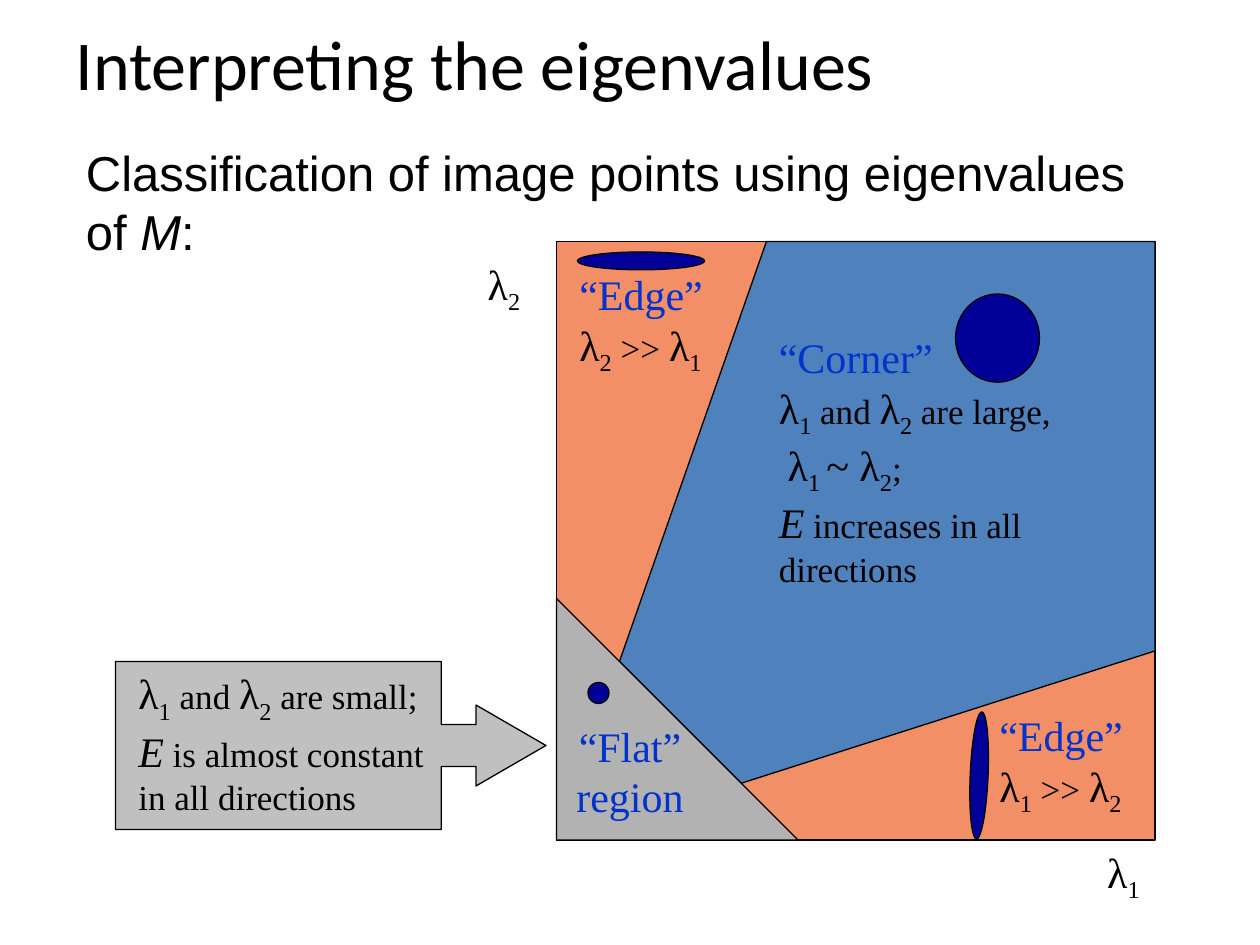
from dataclasses import dataclass
from typing import NamedTuple

import lxml.etree
import pptx
import pptx.dml.color
import pptx.enum.shapes
import pptx.enum.text
import pptx.util

COLS, ROWS = 120, 90
SERIF = "Times New Roman"
BLACK, BLUE, NAVY, ORANGE = "000000", "0033CC", "000099", "F38F67"
SHAPE = pptx.enum.shapes.MSO_SHAPE
ALIGN = pptx.enum.text.PP_ALIGN


class Box(NamedTuple):
    col: float
    row: float
    cols: float
    rows: float


class Run(NamedTuple):
    text: str
    size: int = 20
    color: str = BLACK
    italic: bool = False
    sub: bool = False
    font: str = SERIF


@dataclass
class Label:
    box: Box
    runs: list[Run]
    align: ALIGN = ALIGN.LEFT


@dataclass
class Region:
    kind: SHAPE
    box: Box
    fill: str
    rotation: float = 0
    adjustments: tuple[float, ...] = ()


prs = pptx.Presentation()
prs.slide_width, prs.slide_height = pptx.util.Inches(10), pptx.util.Inches(7.5)


def x(col: float) -> int:
    return round(prs.slide_width * col / COLS)


def y(row: float) -> int:
    return round(prs.slide_height * row / ROWS)


def place(box: Box) -> tuple[int, int, int, int]:
    return x(box.col), y(box.row), x(box.cols), y(box.rows)


def rgb(color: str) -> pptx.dml.color.RGBColor:
    return pptx.dml.color.RGBColor.from_string(color)


def lam(index: int, tail: str = "") -> list[Run]:
    return [Run("λ", 24), Run(f"{index}{tail}", 24, sub=True)]


def edge(larger: int, smaller: int) -> list[Run]:
    return [Run("“Edge”", 24, BLUE), BREAK, *lam(larger), Run(" >> "), *lam(smaller)]


def write(p, runs: list[Run]) -> None:
    for run in runs:
        if run == BREAK:
            p.add_line_break()
            continue
        r = p.add_run()
        r.text = run.text
        formats = {"name": run.font, "size": pptx.util.Pt(run.size), "italic": run.italic}
        for name, value in formats.items():
            setattr(r.font, name, value)
        r.font.color.rgb = rgb(run.color)
        if run.sub:
            r._r.get_or_add_rPr().set("baseline", "-25000")


def draw_label(s, label: Label) -> None:
    tf = s.shapes.add_textbox(*place(label.box)).text_frame
    tf.word_wrap = True
    p = tf.paragraphs[0]
    p.alignment = label.align
    write(p, label.runs)


def paint(sp, fill: str) -> None:
    sp.shadow.inherit = False
    sp.fill.solid()
    sp.fill.fore_color.rgb = rgb(fill)
    sp.line.color.rgb = rgb(BLACK)
    sp.line.width = pptx.util.Pt(0.75)


def draw_region(s, region: Region) -> None:
    sp = s.shapes.add_shape(region.kind, *place(region.box))
    for i, value in enumerate(region.adjustments):
        sp.adjustments[i] = value
    sp.rotation = region.rotation
    paint(sp, region.fill)


def draw_polygon(s, points: list[tuple[float, float]], fill: str) -> None:
    (start_x, start_y), *rest = [(x(col), y(row)) for col, row in points]
    builder = s.shapes.build_freeform(start_x, start_y)
    builder.add_line_segments(rest, close=True)
    paint(builder.convert_to_shape(), fill)


def draw_title(s, box: Box, run: Run) -> None:
    sp = s.shapes.title
    sp.left, sp.top, sp.width, sp.height = place(box)
    tf = sp.text_frame
    tf.vertical_anchor = pptx.enum.text.MSO_ANCHOR.MIDDLE
    tf.paragraphs[0].alignment = ALIGN.LEFT
    write(tf.paragraphs[0], [run])


BREAK = Run("\n")
PLOT = Box(53, 23, 57, 57)
FLAT_SIDE = 23
CORNER = [(59, 63), (73, 23), (110, 23), (110, 62), (70.6, 74.6)]

BACK = [
    Region(SHAPE.RIGHT_ARROW_CALLOUT, Box(11, 63, 41, 16), "C0C0C0",
           adjustments=(0.25, 0.241, 0.416, 0.757)),
    Region(SHAPE.RECTANGLE, PLOT, ORANGE),
]
FLAT = Region(SHAPE.RIGHT_TRIANGLE,
              Box(PLOT.col, PLOT.row + PLOT.rows - FLAT_SIDE, FLAT_SIDE, FLAT_SIDE),
              "B2B2B2")
ELLIPSES = [
    Region(SHAPE.OVAL, Box(91, 28, 8, 8.4), NAVY),
    Region(SHAPE.OVAL, Box(55, 24, 12.1, 1.7), NAVY),
    Region(SHAPE.OVAL, Box(56, 65, 2, 2), NAVY),
    Region(SHAPE.OVAL, Box(87.2, 73, 12.1, 1.7), NAVY, 92.4),
]
LABELS = [
    Label(Box(102, 80, 10, 6), lam(1), ALIGN.CENTER),
    Label(Box(41, 24, 14, 6), lam(2), ALIGN.CENTER),
    Label(Box(73, 31, 35, 24.4), [
        Run("“Corner”", 24, BLUE), BREAK,
        *lam(1), Run(" and "), *lam(2), Run(" are large,"), BREAK,
        Run(" "), *lam(1, " "), Run("~ ", 24), *lam(2), Run(";"), BREAK,
        Run("E", 24, italic=True), Run(" increases in all directions")]),
    Label(Box(12, 63, 31, 14.8), [
        *lam(1), Run(" and "), *lam(2), Run(" are small;"), BREAK,
        Run("E", 24, italic=True), Run(" is almost constant in all directions")]),
    Label(Box(94, 67, 17, 10.8), edge(1, 2)),
    Label(Box(54, 25, 17, 10.8), edge(2, 1)),
    Label(Box(52, 68, 16, 10.8), [Run("“Flat” region", 24, BLUE)], ALIGN.CENTER),
    Label(Box(7, 13, 105, 12.4), [
        Run("Classification of image points using eigenvalues of ", 28, font="Arial"),
        Run("M", 28, italic=True, font="Arial"),
        Run(":", 28, font="Arial")]),
]


def main() -> None:
    s = prs.slides.add_slide(prs.slide_layouts[5])
    draw_title(s, Box(6, 0, 108, 12),
               Run("Interpreting the eigenvalues", 40, font="Calibri"))
    for region in BACK:
        draw_region(s, region)
    draw_polygon(s, CORNER, "4F81BD")
    draw_region(s, FLAT)
    for label in LABELS:
        draw_label(s, label)
    for ellipse in ELLIPSES:
        draw_region(s, ellipse)
    prs.save("out.pptx")


if __name__ == "__main__":
    main()
